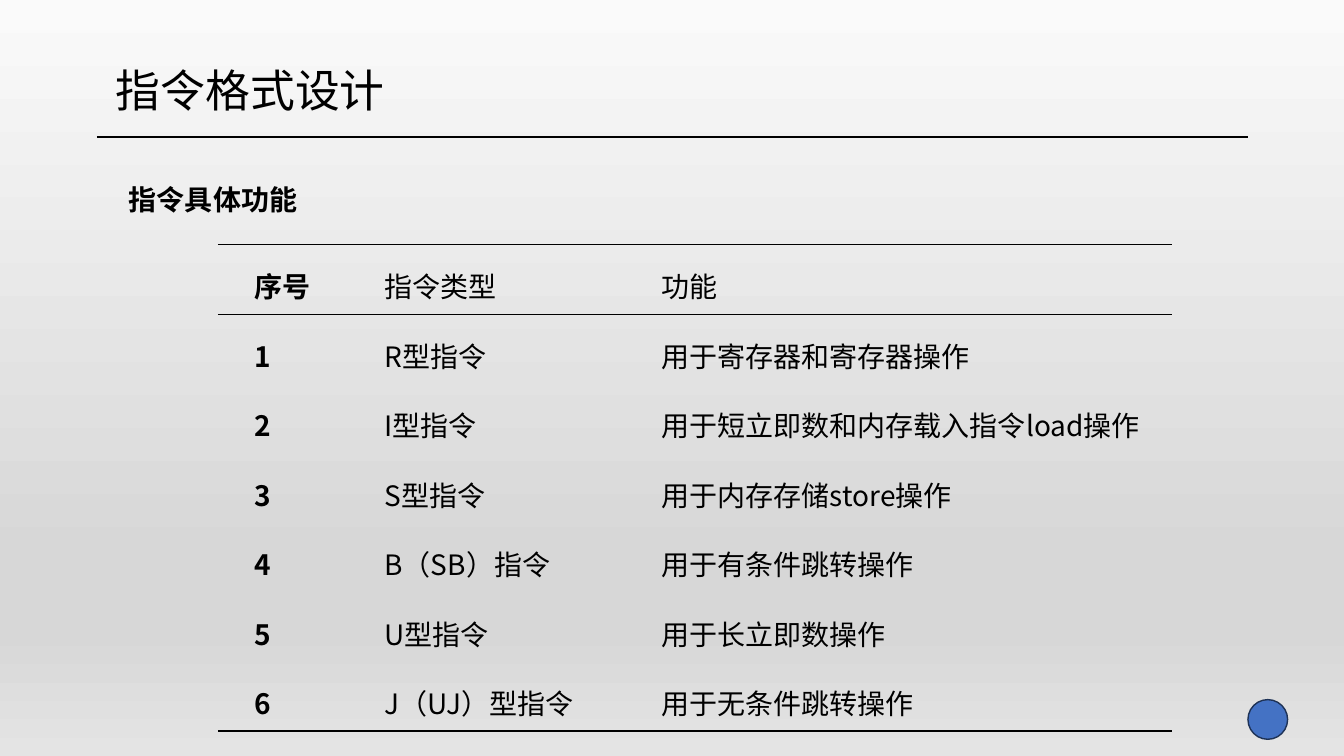
"""Build the instruction format slide with its table of instruction types."""
from lxml import etree
from pptx import Presentation
from pptx.dml.color import RGBColor
from pptx.enum.shapes import MSO_CONNECTOR, MSO_SHAPE
from pptx.oxml.ns import qn
from pptx.util import Cm, Pt

STRAIGHT = MSO_CONNECTOR.STRAIGHT
OVAL = MSO_SHAPE.OVAL
BLACK = RGBColor(0x00, 0x00, 0x00)
BLUE = RGBColor(0x44, 0x72, 0xC4)
NAVY = RGBColor(0x1E, 0x32, 0x56)
BACKDROP = [
    (0, RGBColor(0xFA, 0xFA, 0xFA)),
    (74, RGBColor(0xD7, 0xD7, 0xD7)),
    (83, RGBColor(0xD7, 0xD7, 0xD7)),
    (100, RGBColor(0xE4, 0xE4, 0xE4)),
]
COLUMNS = [3.28, 6.98, 13.79]
ROW_HEIGHT = 1.75
ROWS = [
    ("序号", "指令类型", "功能"),
    ("1", "R型指令", "用于寄存器和寄存器操作"),
    ("2", "I型指令", "用于短立即数和内存载入指令load操作"),
    ("3", "S型指令", "用于内存存储store操作"),
    ("4", "B（SB）指令", "用于有条件跳转操作"),
    ("5", "U型指令", "用于长立即数操作"),
    ("6", "J（UJ）型指令", "用于无条件跳转操作"),
]


def add_color(parent, color):
    etree.SubElement(parent, qn("a:srgbClr"), val=str(color))


def write(tf, text, font, size=20, bold=False, color=BLACK, spacing=1.5, indent=0):
    p = tf.paragraphs[0]
    p.line_spacing = spacing
    pPr = p._p.get_or_add_pPr()
    pPr.set("marL", "0")
    pPr.set("indent", str(Cm(indent)))
    r = p.add_run()
    r.text = text
    r.font.name = font
    r.font.size = Pt(size)
    r.font.bold = bold
    r.font.color.rgb = color
    etree.SubElement(r.font._element, qn("a:ea"), typeface=font)


class Deck:
    def __init__(self, s, font="Noto Sans CJK SC"):
        self.s = s
        self.font = font

    def background(self, stops):
        fill = self.s.background.fill
        fill.gradient()
        fill.gradient_angle = 270
        gs_list = next(self.s.element.iter(qn("a:gsLst")))
        for gs in list(gs_list):
            gs_list.remove(gs)
        for percent, color in stops:
            gs = etree.SubElement(gs_list, qn("a:gs"), pos=str(percent * 1000))
            add_color(gs, color)

    def text(self, box, text, **style):
        sp = self.s.shapes.add_textbox(*map(Cm, box))
        sp.text_frame.word_wrap = True
        write(sp.text_frame, text, self.font, **style)

    def line(self, ends, width):
        sp = self.s.shapes.add_connector(STRAIGHT, *map(Cm, ends))
        sp.line.color.rgb = BLACK
        sp.line.width = Pt(width)
        etree.SubElement(sp._element.spPr, qn("a:effectLst"))

    def circle(self, box, fill, line):
        sp = self.s.shapes.add_shape(OVAL, *map(Cm, box))
        sp.shadow.inherit = False
        sp.fill.solid()
        sp.fill.fore_color.rgb = fill
        sp.line.color.rgb = line
        sp.line.width = Pt(1)

    def borders(self, cell, ruled):
        tcPr = cell._tc.get_or_add_tcPr()
        for i, side in enumerate(("lnL", "lnR", "lnT", "lnB")):
            ln = etree.Element(qn(f"a:{side}"), w=str(Pt(1)))
            if side in ruled:
                add_color(etree.SubElement(ln, qn("a:solidFill")), BLACK)
            else:
                etree.SubElement(ln, qn("a:noFill"))
            tcPr.insert(i, ln)

    def table(self, left, top, columns, row_height, rows):
        box = (left, top, sum(columns), row_height * len(rows))
        table = self.s.shapes.add_table(len(rows), len(columns), *map(Cm, box)).table
        table.first_row = table.horz_banding = False
        for column, width in zip(table.columns, columns):
            column.width = Cm(width)
        for i, row in enumerate(rows):
            table.rows[i].height = Cm(row_height)
            ruled = {"lnT"} if i < 2 else set()
            if i in (0, len(rows) - 1):
                ruled.add("lnB")
            for j, text in enumerate(row):
                cell = table.cell(i, j)
                cell.margin_left = cell.margin_right = Cm(0.18)
                cell.margin_top = cell.margin_bottom = 0
                cell.fill.background()
                self.borders(cell, ruled)
                write(cell.text_frame, text, self.font, bold=j == 0, indent=0.74)


def main():
    prs = Presentation()
    prs.slide_width, prs.slide_height = Cm(33.87), Cm(19.05)
    deck = Deck(prs.slides.add_slide(prs.slide_layouts[6]))
    deck.background(BACKDROP)
    deck.text((1.7, 1.6, 29.21, 15.54), "指令格式设计", size=32, spacing=0.9, indent=0.97)
    deck.line((2.44, 3.45, 31.45, 3.45), 1.5)
    deck.text((3, 4.04, 27.41, 1.35), "指令具体功能", bold=True)
    deck.table(5.49, 6.17, COLUMNS, ROW_HEIGHT, ROWS)
    deck.circle((31.45, 17.63, 1, 1), BLUE, NAVY)
    prs.save("out.pptx")


if __name__ == "__main__":
    main()
